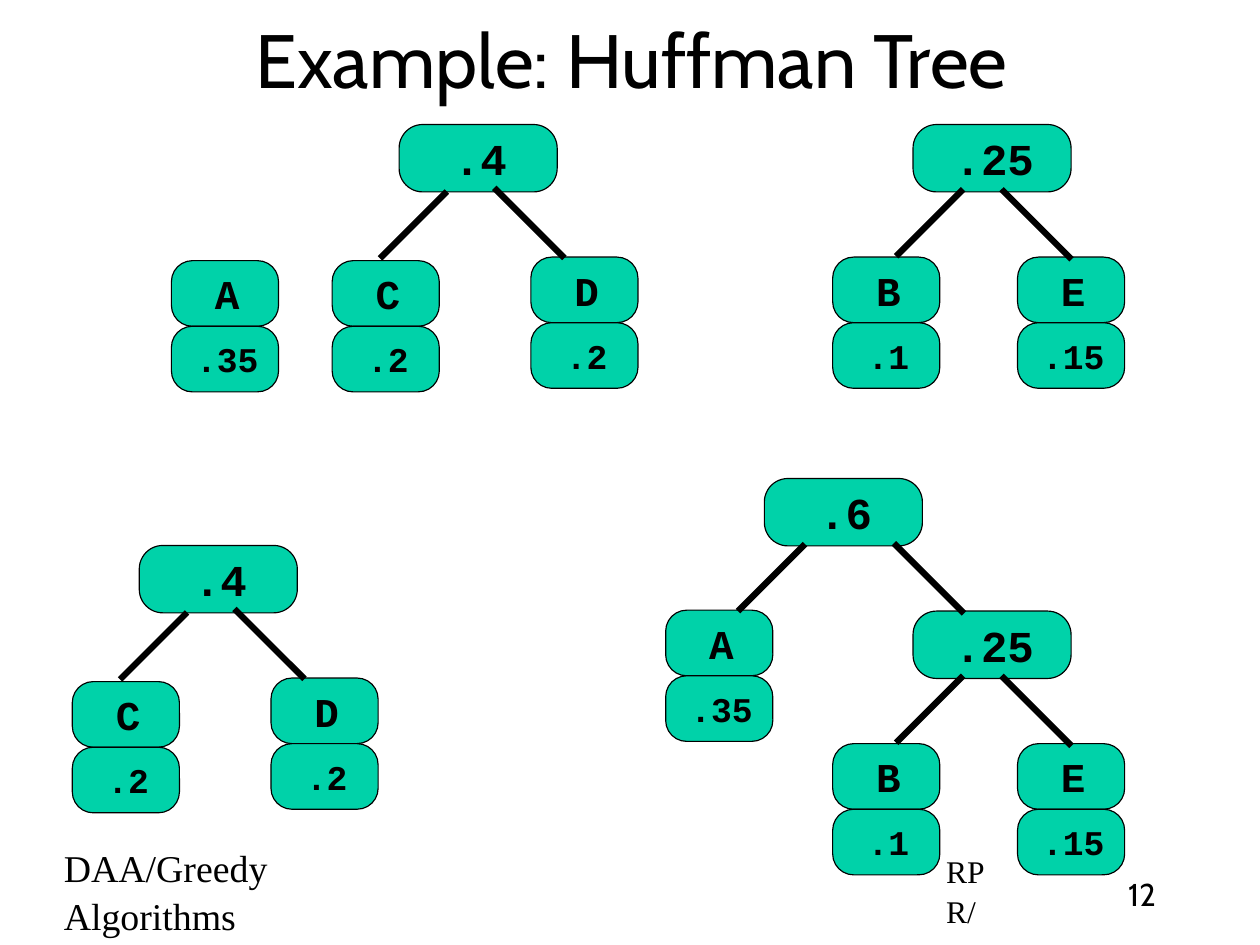
from dataclasses import dataclass
from typing import Any, NamedTuple

from lxml.etree import SubElement
from pptx import Presentation
from pptx.dml.color import RGBColor
from pptx.enum.shapes import MSO_CONNECTOR as Connector, MSO_SHAPE as Preset
from pptx.enum.text import MSO_ANCHOR as Anchor, MSO_AUTO_SIZE as AutoSize, PP_ALIGN as Align
from pptx.oxml.ns import qn
from pptx.util import Cm, Pt


@dataclass(frozen=True)
class Theme:
    ink: RGBColor = RGBColor(0x00, 0x00, 0x00)
    node_fill: RGBColor = RGBColor(0x00, 0xD2, 0xA9)
    title_font: str = "Cabin"
    footer_font: str = "Times New Roman"
    node_font: str = "Courier New"
    title_size: int = 48
    footer_size: int = 24
    small_size: int = 20
    sum_size: int = 28
    symbol_size: int = 26
    weight_size: int = 22
    outline: float = 0.75
    edge: float = 4


class Leaf(NamedTuple):
    symbol: str
    weight: str


class Branch(NamedTuple):
    child: Any
    left: float
    top: float
    start_x: float
    start_y: float
    run: float


class Sum(NamedTuple):
    weight: str
    branches: tuple[Branch, ...]


class Root(NamedTuple):
    node: Leaf | Sum
    left: float
    top: float


class Footer(NamedTuple):
    text: str
    left: float
    top: float
    width: float
    height: float
    font: str
    size: int
    right_inset: float
    align: Align
    anchor: Anchor


THEME = Theme()
INSET, INDENT = 0.16, 0.1
LEAF_WIDTH, LEAF_HEIGHT = 2.4, 1.47
SUM_WIDTH, SUM_HEIGHT = 3.54, 1.51

BE = Sum(".25", (Branch(Leaf("B", ".1"), -1.8, 2.97, 1.12, 1.45, -1.5),
                 Branch(Leaf("E", ".15"), 2.34, 2.97, 1.98, 1.45, 1.57)))
CD = Sum(".4", (Branch(Leaf("C", ".2"), -1.5, 3.05, 1.07, 1.5, -1.5),
                Branch(Leaf("D", ".2"), 2.95, 2.97, 2.13, 1.42, 1.57)))
A = Leaf("A", ".35")
ABE = Sum(".6", (Branch(A, -2.21, 2.95, 0.91, 1.47, -1.5),
                 Branch(BE, 3.33, 2.97, 2.9, 1.45, 1.57)))

ROOTS = (Root(A, 3.84, 5.84), Root(CD, 8.94, 2.79), Root(BE, 20.45, 2.79),
         Root(CD, 3.12, 12.22), Root(ABE, 17.12, 10.72))

FOOTERS = (
    Footer("12", 24.69, 19.41, 1.68, 1.07, THEME.title_font, THEME.small_size,
           INSET, Align.CENTER, Anchor.TOP),
    Footer("DAA/Greedy Algorithms", 1.17, 19.35, 9.02, 1.19, THEME.footer_font,
           THEME.footer_size, 3, Align.LEFT, Anchor.MIDDLE),
    Footer("RPR/", 20.93, 19.41, 1.96, 1.07, THEME.footer_font, THEME.small_size,
           0.4, Align.LEFT, Anchor.MIDDLE),
)


def apply(target: Any, values: dict[str, Any]) -> None:
    for name, value in values.items():
        setattr(target, name, value)


def write(shape: Any, text: str, font: str, size: int, bold: bool = False,
          align: Align = Align.CENTER, anchor: Anchor = Anchor.MIDDLE,
          right_inset: float = INSET) -> None:
    frame = shape.text_frame
    apply(frame, {"text": text, "word_wrap": True, "auto_size": AutoSize.NONE,
                  "vertical_anchor": anchor, "margin_left": Cm(INSET),
                  "margin_right": Cm(right_inset), "margin_top": Cm(INSET),
                  "margin_bottom": Cm(INSET)})
    paragraph = frame.paragraphs[0]
    paragraph.alignment = align
    paragraph._p.get_or_add_pPr().set("marL", str(Cm(INDENT)))
    run = paragraph.runs[0]
    apply(run.font, {"name": font, "size": Pt(size), "bold": bold})
    run.font.color.rgb = THEME.ink


def draw_box(slide: Any, text: str, left: float, top: float, width: float,
             height: float, rounding: float, size: int) -> None:
    shape = slide.shapes.add_shape(Preset.ROUNDED_RECTANGLE,
                                   Cm(left), Cm(top), Cm(width), Cm(height))
    shape.adjustments[0] = rounding
    shape.shadow.inherit = False
    shape.fill.solid()
    shape.fill.fore_color.rgb = THEME.node_fill
    shape.line.color.rgb = THEME.ink
    shape.line.width = Pt(THEME.outline)
    write(shape, text, THEME.node_font, size, bold=True)


def draw_edge(slide: Any, left: float, top: float, run: float) -> None:
    edge = slide.shapes.add_connector(Connector.STRAIGHT, Cm(left + run), Cm(top + abs(run)),
                                      Cm(left), Cm(top))
    edge.line.color.rgb = THEME.ink
    edge.line.width = Pt(THEME.edge)
    SubElement(edge._element.spPr, qn("a:effectLst"))


def draw_node(slide: Any, node: Leaf | Sum, left: float, top: float) -> None:
    if isinstance(node, Leaf):
        rows = ((node.symbol, THEME.symbol_size), (node.weight, THEME.weight_size))
        for row, (text, size) in enumerate(rows):
            draw_box(slide, text, left, top + row * LEAF_HEIGHT,
                     LEAF_WIDTH, LEAF_HEIGHT, 0.32, size)
        return
    for branch in node.branches:
        draw_node(slide, branch.child, left + branch.left, top + branch.top)
    draw_box(slide, node.weight, left, top, SUM_WIDTH, SUM_HEIGHT, 0.35, THEME.sum_size)
    for branch in node.branches:
        draw_edge(slide, left + branch.start_x, top + branch.start_y, branch.run)


def draw_footer(slide: Any, footer: Footer) -> None:
    box = slide.shapes.add_textbox(Cm(footer.left), Cm(footer.top),
                                   Cm(footer.width), Cm(footer.height))
    write(box, footer.text, footer.font, footer.size, align=footer.align,
          anchor=footer.anchor, right_inset=footer.right_inset)
    box.text_frame.paragraphs[0].line_spacing = 1.05


def main() -> None:
    presentation = Presentation()
    apply(presentation, {"slide_width": Cm(28.22), "slide_height": Cm(21.17)})
    slide = presentation.slides.add_slide(presentation.slide_layouts[5])
    title = slide.shapes.title
    apply(title, {"left": Cm(2.11), "top": Cm(0.18), "width": Cm(23.98), "height": Cm(2.26)})
    write(title, "Example: Huffman Tree", THEME.title_font, THEME.title_size)
    for footer in FOOTERS:
        draw_footer(slide, footer)
    for root in ROOTS:
        draw_node(slide, root.node, root.left, root.top)
    presentation.save("out.pptx")


main()
